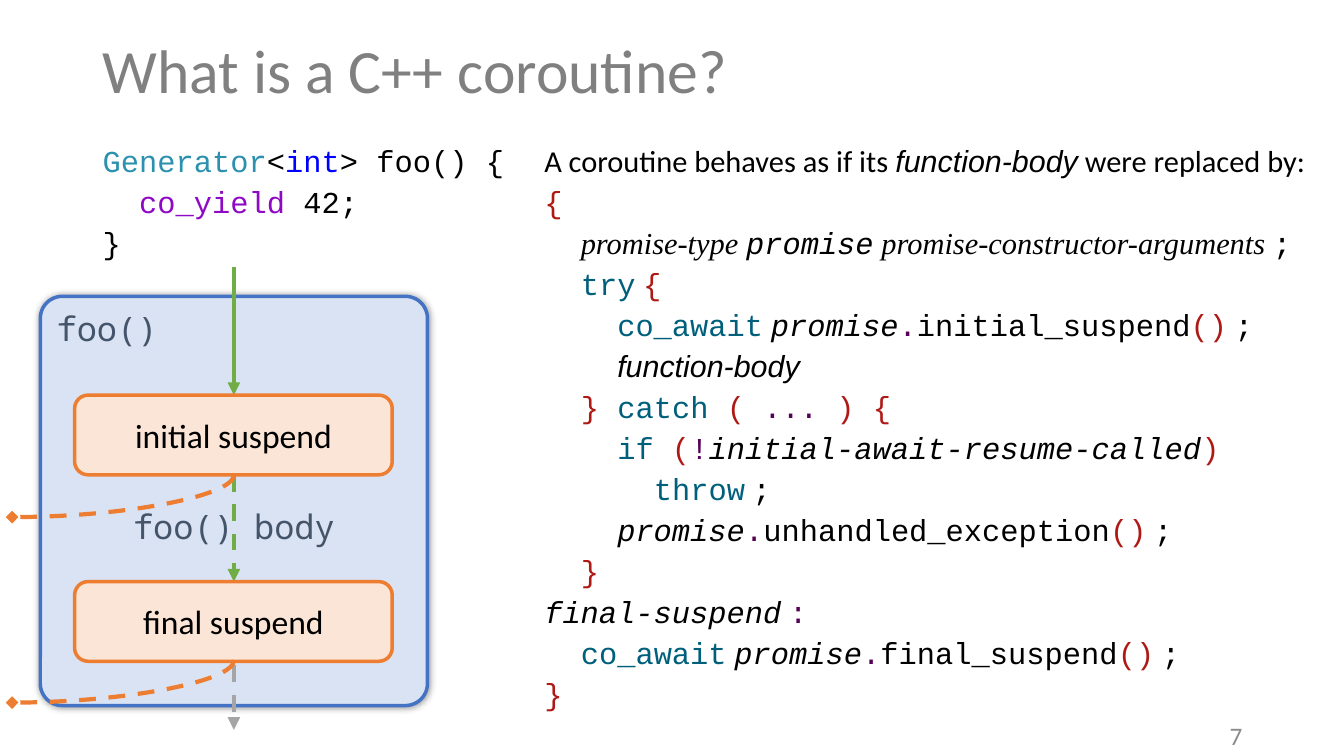
from lxml import etree
from pptx import Presentation
from pptx import util as u
from pptx.dml.color import RGBColor
from pptx.enum import dml, shapes, text
from pptx.oxml.ns import qn

BLACK = RGBColor(0, 0, 0)
TITLE_GRAY = RGBColor(0x80, 0x80, 0x80)
NUMBER_GRAY = RGBColor(0x8C, 0x8C, 0x8C)
ARROW_GRAY = RGBColor(0xA5, 0xA5, 0xA5)
SLATE = RGBColor(0x44, 0x54, 0x6A)
TEAL = RGBColor(0x2B, 0x91, 0xAF)
BLUE = RGBColor(0, 0, 0xFF)
PURPLE = RGBColor(0x8F, 0x08, 0xC4)
RED = RGBColor(0xAF, 0x19, 0x15)
PETROL = RGBColor(0, 0x60, 0x7C)
PLUM = RGBColor(0x57, 0, 0x57)
PANEL_FILL = RGBColor(0xDA, 0xE3, 0xF3)
PANEL_LINE = RGBColor(0x44, 0x72, 0xC4)
STEP_FILL = RGBColor(0xFB, 0xE5, 0xD6)
ORANGE = RGBColor(0xED, 0x7D, 0x31)
GREEN = RGBColor(0x70, 0xAD, 0x47)

SANS, MONO, SERIF, DIAGRAM_MONO = "Calibri", "Courier New", "Times New Roman", "Noto Sans Mono"

STYLES = {
    "code": (MONO, BLACK, False),
    "type": (MONO, TEAL, False),
    "builtin": (MONO, BLUE, False),
    "yield": (MONO, PURPLE, False),
    "brace": (MONO, RED, False),
    "keyword": (MONO, PETROL, False),
    "operator": (MONO, PLUM, False),
    "name": (MONO, BLACK, True),
    "grammar": (SERIF, BLACK, True),
    "gap": (SERIF, BLACK, False),
    "body": ("Arial", BLACK, True),
    "prose": (SANS, BLACK, False),
}
GAP = (" ", "gap")
END = [("()", "brace"), GAP, (";", "code")]

GENERATOR = [
    [("Generator", "type"), ("<", "code"), ("int", "builtin"), ("> foo() {", "code")],
    [("  ", "code"), ("co_yield", "yield"), (" 42;", "code")],
    [("}", "code")],
]


def promise_call(function):
    return [("promise", "name"), (".", "operator"), (function, "code")] + END


def awaited(indent, function):
    return [(indent, "code"), ("co_await", "keyword"), GAP] + promise_call(function)


REPLACEMENT = [
    [("A coroutine behaves as if its ", "prose"), ("function-body", "body"),
     (" were replaced by:", "prose")],
    [("{", "brace")],
    [("  ", "code"), ("promise-type ", "grammar"), ("promise", "name"),
     (" promise-constructor-arguments ", "grammar"), (";", "code")],
    [("  ", "code"), ("try", "keyword"), GAP, ("{", "brace")],
    awaited("    ", "initial_suspend"),
    [("    ", "code"), ("function-body", "body")],
    [("  ", "code"), ("} ", "brace"), ("catch ", "keyword"), ("( ", "brace"),
     ("... ", "operator"), (") {", "brace")],
    [("    ", "code"), ("if ", "keyword"), ("(", "brace"), ("!", "operator"),
     ("initial-await-resume-called", "name"), (")", "brace")],
    [("      ", "code"), ("throw", "keyword"), GAP, (";", "code")],
    [("    ", "code")] + promise_call("unhandled_exception"),
    [("  ", "code"), ("}", "brace")],
    [("final-suspend", "name"), GAP, (":", "operator")],
    awaited("  ", "final_suspend"),
    [("}", "brace")],
]


def format_font(font, name, size, color, italic=False):
    font.name = name
    font.size = u.Pt(size)
    font.color.rgb = color
    font.italic = italic


def add_code(page, left, width, lines):
    box = page.shapes.add_textbox(u.Inches(left), u.Inches(1.45), u.Inches(width), u.Inches(5.65))
    frame = box.text_frame
    frame.word_wrap = True
    for index, line in enumerate(lines):
        para = frame.add_paragraph() if index else frame.paragraphs[0]
        para.line_spacing = 0.74
        para.space_before = u.Pt(10 if index else 0)
        for words, style in line:
            span = para.add_run()
            span.text = words
            name, color, italic = STYLES[style]
            format_font(span.font, name, 21.7, color, italic)


def add_round_box(page, place, fill, line):
    box = page.shapes.add_shape(
        shapes.MSO_SHAPE.ROUNDED_RECTANGLE, *[u.Inches(length) for length in place])
    box.shadow.inherit = False
    box.fill.solid()
    box.fill.fore_color.rgb = fill
    box.line.color.rgb = line
    box.line.width = u.Pt(2.5)
    return box


def add_panel(page):
    panel = add_round_box(page, (0.4, 2.94, 3.84, 4.06), PANEL_FILL, PANEL_LINE)
    panel.adjustments[0] = 0.057
    effects = panel._element.spPr.find(qn("a:effectLst"))
    glow = etree.SubElement(effects, qn("a:outerShdw"), blurRad=str(u.Pt(5)), dist="0")
    shade = etree.SubElement(glow, qn("a:srgbClr"), val="000000")
    etree.SubElement(shade, qn("a:alpha"), val="40000")
    frame = panel.text_frame
    frame.vertical_anchor = text.MSO_ANCHOR.TOP
    frame.text = "foo()\nfoo() body"
    heading, body = frame.paragraphs
    heading.alignment = text.PP_ALIGN.LEFT
    body.alignment = text.PP_ALIGN.CENTER
    body.space_before = u.Pt(113)
    for para in frame.paragraphs:
        format_font(para.runs[0].font, DIAGRAM_MONO, 24, SLATE)


def add_step(page, top, label):
    step = add_round_box(page, (0.74, top, 3.15, 0.79), STEP_FILL, ORANGE)
    frame = step.text_frame
    frame.text = label
    frame.vertical_anchor = text.MSO_ANCHOR.MIDDLE
    para = frame.paragraphs[0]
    para.alignment = text.PP_ALIGN.CENTER
    format_font(para.runs[0].font, SANS, 24, BLACK)


def add_arrow(page, kind, start, end, color, head, dashed):
    arrow = page.shapes.add_connector(kind, *[u.Inches(length) for length in start + end])
    arrow.line.color.rgb = color
    arrow.line.width = u.Pt(3)
    if dashed:
        arrow.line.dash_style = dml.MSO_LINE.DASH
    properties = arrow._element.spPr
    etree.SubElement(properties.find(qn("a:ln")), qn("a:tailEnd"), type=head)
    etree.SubElement(properties, qn("a:effectLst"))
    return properties


def add_flow(page, top, bottom, color, dashed=True):
    add_arrow(page, shapes.MSO_CONNECTOR.STRAIGHT, (2.32, top), (2.32, bottom),
              color, "triangle", dashed)


def add_suspension(page, top):
    drop, reach = 0.42, 2.2
    center, middle = 2.32 - reach / 2, top + drop / 2
    properties = add_arrow(page, shapes.MSO_CONNECTOR.CURVE,
                           (center - drop / 2, middle - reach / 2),
                           (center + drop / 2, middle + reach / 2), ORANGE, "diamond", True)
    properties.find(qn("a:xfrm")).set("rot", "5400000")
    properties.find(qn("a:prstGeom")).set("prst", "curvedConnector2")


def add_title(page):
    title = page.shapes.title
    title.left, title.top, title.width, title.height = [
        u.Inches(length) for length in (0.92, 0, 11.5, 1.45)]
    title.text_frame.text = "What is a C++ coroutine?"
    title.text_frame.vertical_anchor = text.MSO_ANCHOR.MIDDLE
    para = title.text_frame.paragraphs[0]
    para.alignment = text.PP_ALIGN.LEFT
    para.line_spacing = 0.9
    format_font(para.runs[0].font, SANS, 44, TITLE_GRAY)


def add_page_number(page):
    box = page.shapes.add_textbox(u.Inches(9.42), u.Inches(7.1), u.Inches(3), u.Inches(0.4))
    box.text_frame.word_wrap = True
    box.text_frame.vertical_anchor = text.MSO_ANCHOR.MIDDLE
    box.text_frame.text = "7"
    para = box.text_frame.paragraphs[0]
    para.alignment = text.PP_ALIGN.RIGHT
    format_font(para.runs[0].font, SANS, 18, NUMBER_GRAY)


def main():
    deck = Presentation()
    deck.slide_width, deck.slide_height = u.Inches(13.33), u.Inches(7.5)
    page = deck.slides.add_slide(deck.slide_layouts[5])
    add_title(page)
    add_code(page, 0.92, 4.23, GENERATOR)
    add_code(page, 5.3, 8.04, REPLACEMENT)
    add_page_number(page)
    add_panel(page)
    add_flow(page, 2.65, 3.92, GREEN, dashed=False)
    add_flow(page, 4.71, 5.77, GREEN)
    add_step(page, 3.92, "initial suspend")
    add_step(page, 5.77, "final suspend")
    add_suspension(page, 4.71)
    add_flow(page, 6.6, 7.24, ARROW_GRAY)
    add_suspension(page, 6.55)
    deck.save("out.pptx")


if __name__ == "__main__":
    main()
